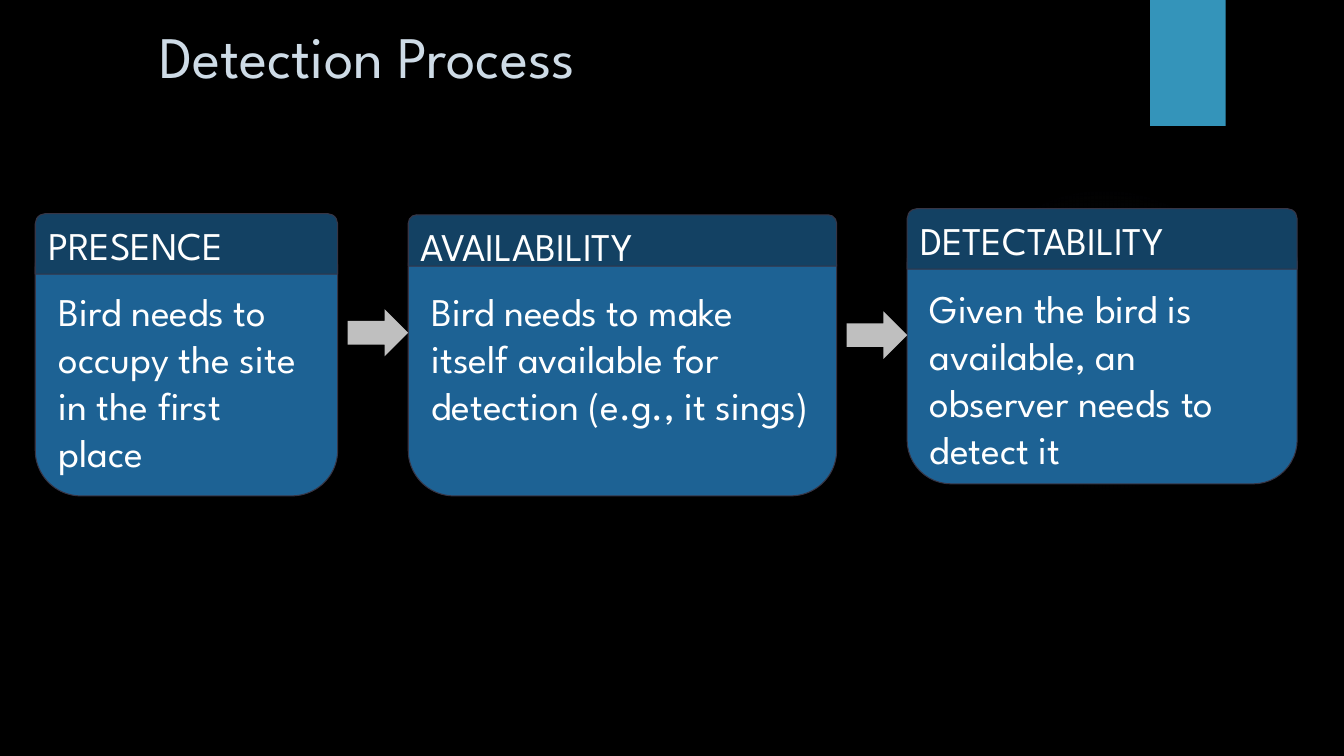
"""Build the Detection Process slide with its three linked cards."""
from dataclasses import dataclass
from typing import Optional

from lxml import etree
from pptx import Presentation
from pptx.dml.color import RGBColor
from pptx.enum import shapes, text
from pptx.oxml import ns
from pptx.util import Length, Pt

BLACK = RGBColor(0x00, 0x00, 0x00)
WHITE = RGBColor(0xFF, 0xFF, 0xFF)
PALE = RGBColor(0xCE, 0xDB, 0xE6)
TEAL = RGBColor(0x34, 0x94, 0xBA)
BLUE = RGBColor(0x1D, 0x62, 0x94)
NAVY = RGBColor(0x13, 0x41, 0x63)
SLATE = RGBColor(0x37, 0x35, 0x45)
GREY = RGBColor(0xBF, 0xBF, 0xBF)
MAUVE = RGBColor(0x7F, 0x7B, 0x9A)
FONT = "League Spartan"
SIZE = 28
PITCH = 1.2
KIND = shapes.MSO_SHAPE


@dataclass(frozen=True)
class Box:
    """Position and size in points."""
    left: float
    top: float
    width: float
    height: float

    def place(self) -> list[Length]:
        """Return the four lengths that python-pptx expects."""
        return [Pt(n) for n in (self.left, self.top, self.width, self.height)]


@dataclass(frozen=True)
class Card:
    """One step of the process."""
    head: str
    body: str
    top: Box
    main: Box


CARDS = [
    Card("AVAILABILITY",
         "Bird needs to make itself available for detection (e.g., it sings)",
         Box(291.6, 153.4, 306, 36.7), Box(291.6, 158.4, 306, 195.8)),
    Card("PRESENCE", "Bird needs to occupy the site in the first place",
         Box(25.2, 152.6, 216, 43.2), Box(25.2, 158.4, 216, 195.8)),
    Card("DETECTABILITY",
         "Given the bird is available, an observer needs to detect it",
         Box(648, 149, 278.6, 43.2), Box(648, 157, 278.6, 188.6)),
]
ARROWS = [Box(248.4, 220.8, 43.2, 33.8), Box(604.8, 222.5, 43.2, 33.8)]


def draw(slide, kind, box: Box, fill: RGBColor,
         line: Optional[RGBColor] = None):
    """Draw a flat preset shape."""
    shape = slide.shapes.add_shape(kind, *box.place())
    shape.shadow.inherit = False
    shape.fill.solid()
    shape.fill.fore_color.rgb = fill
    if line is None:
        shape.line.fill.background()
    else:
        shape.line.color.rgb = line
        shape.line.width = Pt(0.75)
    return shape


def write(shape, words: str, size: float, color: RGBColor,
          inset: float = 3.6) -> None:
    """Set left-aligned text at the top of a shape."""
    frame = shape.text_frame
    frame.text = words
    frame.word_wrap = True
    frame.vertical_anchor = text.MSO_ANCHOR.TOP
    frame.margin_top = Pt(inset)
    frame.margin_bottom = Pt(0)
    para = frame.paragraphs[0]
    para.alignment = text.PP_ALIGN.LEFT
    para.line_spacing = Pt(size * PITCH)
    font = para.runs[0].font
    font.name, font.size = FONT, Pt(size)
    font.color.rgb = color


def glow(slide, box: Box) -> None:
    """Draw a faint round glow that fades to its rim."""
    shape = draw(slide, KIND.OVAL, box, MAUVE)
    stops = "".join(
        f'<a:gs pos="{pos * 1000}"><a:srgbClr val="{MAUVE}">'
        f'<a:alpha val="{alpha * 1000}"/></a:srgbClr></a:gs>'
        for pos, alpha in ((0, 7), (36, 6), (69, 0), (100, 0)))
    grad = etree.fromstring(
        f'<a:gradFill {ns.nsdecls("a")}><a:gsLst>{stops}</a:gsLst>'
        '<a:path path="circle"><a:fillToRect l="50000" t="50000" '
        'r="50000" b="50000"/></a:path></a:gradFill>')
    props = shape.element.spPr
    props.replace(props.find(ns.qn("a:solidFill")), grad)


def main() -> None:
    """Build and save the slide."""
    deck = Presentation()
    deck.slide_width, deck.slide_height = Pt(960), Pt(540)
    slide = deck.slides.add_slide(deck.slide_layouts[6])
    slide.background.fill.solid()
    slide.background.fill.fore_color.rgb = BLACK

    glow(slide, Box(677.5, 131.8, 221.8, 221.8))
    draw(slide, KIND.RECTANGLE, Box(821.5, 0, 54, 90), TEAL)
    title = slide.shapes.add_textbox(*Box(106.6, 10.8, 789.1, 138.2).place())
    write(title, "Detection Process", 42, PALE)

    for card in CARDS:
        main_box = draw(slide, KIND.ROUNDED_RECTANGLE, card.main, BLUE, SLATE)
        write(main_box, card.body, SIZE, WHITE, 3.6 + SIZE * PITCH)
        head = draw(slide, KIND.ROUND_2_SAME_RECTANGLE, card.top, NAVY, SLATE)
        write(head, card.head, SIZE, WHITE)
    for box in ARROWS:
        draw(slide, KIND.RIGHT_ARROW, box, GREY)

    deck.save("out.pptx")


if __name__ == "__main__":
    main()
